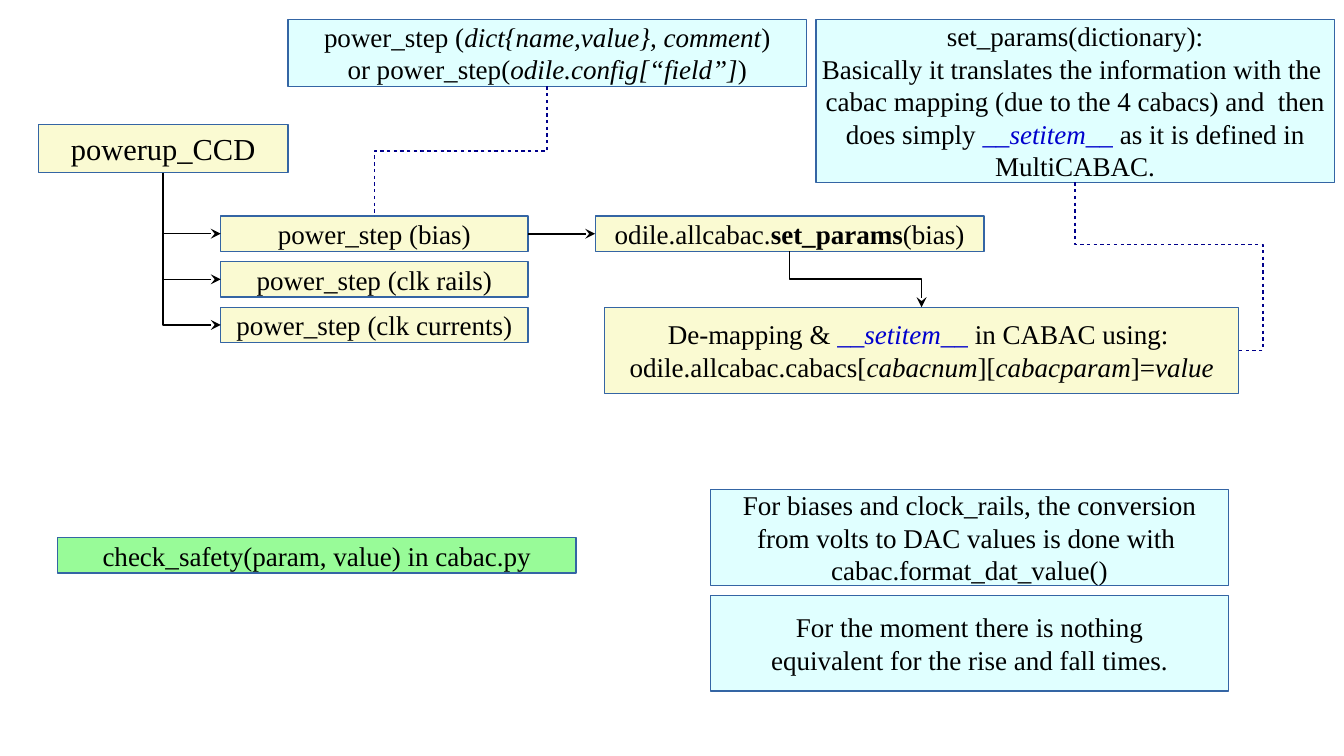
from dataclasses import dataclass
from typing import NamedTuple

from lxml.etree import SubElement as sub
from pptx import Presentation
from pptx.dml.color import RGBColor as Rgb
from pptx.enum.shapes import MSO_CONNECTOR_TYPE as Link, MSO_SHAPE as Form
from pptx.enum.text import MSO_ANCHOR as Anchor, PP_ALIGN as Align
from pptx.oxml.ns import qn
from pptx.util import Cm, Pt

# Grid: 28 columns by 15.75 rows, square cells
COLS, ROWS = 28, 15.75
CELL = Cm(1)
FONT = "Times New Roman"
HUES = {
    "call": "FAFAD2", "note": "E0FFFF", "check": "98FB98", "edge": "3465A4",
    "text": "000000", "item": "0000CD", "flow": "000000", "hint": "00008B",
}
TOP, LEFT, BOTTOM, RIGHT = range(4)


class Bit(NamedTuple):
    text: str
    look: str = ""  # italic, bold or item


class Point(NamedTuple):
    col: float
    row: float


Line = tuple[Bit, ...]


@dataclass
class Box:
    col: float
    row: float
    wide: float
    high: float
    hue: str
    lines: list[Line]
    size: int = 16

    def mid(self, side: int) -> Point:
        x, y = self.col + self.wide / 2, self.row + self.high / 2
        return {
            TOP: Point(x, self.row), LEFT: Point(self.col, y),
            BOTTOM: Point(x, self.row + self.high),
            RIGHT: Point(self.col + self.wide, y),
        }[side]


class Port(NamedTuple):
    name: str
    side: int


@dataclass
class Route:
    start: Port
    end: Port
    form: str = "bentConnector2"
    bends: tuple[float, ...] = ()  # shares of the route's height and width
    hue: str = "flow"
    width: float = 1


def plain(*lines: str) -> list[Line]:
    return [(Bit(line),) for line in lines]


def grid(value: float) -> int:
    return round(value * CELL)


def tint(name: str) -> Rgb:
    return Rgb.from_string(HUES[name])


def write(para, line: Line, size: int) -> None:
    para.text = line[0].text
    for bit in line[1:]:
        para.add_run().text = bit.text
    para.alignment = Align.CENTER
    for run, bit in zip(para.runs, line):
        font = run.font
        font.name, font.size = FONT, Pt(size)
        font.bold = bit.look == "bold"
        font.italic = bit.look in ("italic", "item")
        font.color.rgb = tint("item" if bit.look == "item" else "text")


def draw_box(slide, box: Box):
    shape = slide.shapes.add_shape(
        Form.RECTANGLE, *map(grid, (box.col, box.row, box.wide, box.high)))
    shape.shadow.inherit = False
    shape.fill.solid()
    shape.fill.fore_color.rgb = tint(box.hue)
    shape.line.color.rgb = tint("edge")
    shape.line.width = 0
    frame = shape.text_frame
    frame.word_wrap = False
    frame.vertical_anchor = Anchor.MIDDLE
    for i, line in enumerate(box.lines):
        write(frame.add_paragraph() if i else frame.paragraphs[0], line, box.size)
    return shape


def style(link, route: Route) -> None:
    link.line.color.rgb = tint(route.hue)
    link.line.width = Pt(route.width)
    props = link._element.spPr
    edge = props.find(qn("a:ln"))
    if route.hue == "hint":
        sub(sub(edge, qn("a:custDash")), qn("a:ds"), d="200000", sp="200000")
    else:
        sub(edge, qn("a:tailEnd"), type="stealth")
    sub(props, qn("a:effectLst"))


def draw_straight(slide, route: Route, a: Point, b: Point, shapes: dict):
    link = slide.shapes.add_connector(Link.STRAIGHT, *map(grid, (*a, *b)))
    link.begin_connect(shapes[route.start.name], route.start.side)
    link.end_connect(shapes[route.end.name], route.end.side)
    return link


def draw_bent(slide, route: Route, a: Point, b: Point):
    """Leave downwards: a quarter turn of a frame with swapped sides."""
    x, y = (a.col + b.col) / 2, (a.row + b.row) / 2
    wide, high = b.row - a.row, abs(b.col - a.col)
    right = b.col > a.col
    near, far = x - wide / 2, x + wide / 2
    if right:
        near, far = far, near
    link = slide.shapes.add_connector(
        Link.ELBOW, *map(grid, (near, y - high / 2, far, y + high / 2)))
    props = link._element.spPr
    props.find(qn("a:xfrm")).set("rot", str((270 if right else 90) * 60000))
    shape = props.find(qn("a:prstGeom"))
    shape.set("prst", route.form)
    guides = shape.find(qn("a:avLst"))
    for i, share in enumerate(route.bends, 1):
        sub(guides, qn("a:gd"), name=f"adj{i}", fmla=f"val {round(share * 100000)}")
    return link


def draw_route(slide, route: Route, shapes: dict) -> None:
    a, b = (BOXES[port.name].mid(port.side) for port in (route.start, route.end))
    if a.row == b.row:
        link = draw_straight(slide, route, a, b, shapes)
    else:
        link = draw_bent(slide, route, a, b)
    style(link, route)


# Boxes: calls, then notes
STEPS = ["bias", "clk rails", "clk currents"]
BOXES = {
    "power": Box(0.8, 2.6, 5.2, 1, "call", plain("powerup_CCD"), 18),
    **{step: Box(4.6, 4.5 + 0.95 * i, 6.4, 0.74, "call", plain(f"power_step ({step})"))
       for i, step in enumerate(STEPS)},
    "params": Box(12.4, 4.5, 8.1, 0.74, "call", [
        (Bit("odile.allcabac."), Bit("set_params", "bold"), Bit("(bias)"))]),
    "demap": Box(12.6, 6.4, 13.2, 1.8, "call", [
        (Bit("De-mapping & "), Bit("__setitem__", "item"), Bit(" in CABAC using: ")),
        (Bit("odile.allcabac.cabacs["), Bit("cabacnum", "italic"), Bit("]["),
         Bit("cabacparam", "italic"), Bit("]="), Bit("value", "italic"))]),
    "usage": Box(6, 0.4, 10.8, 1.4, "note", [
        (Bit("power_step ("), Bit("dict{name,value}, comment", "italic"), Bit(")")),
        (Bit("or power_step("), Bit("odile.config[“field”]", "italic"), Bit(")"))]),
    "about": Box(17, 0.4, 10.8, 3.4, "note", [
        *plain("set_params(dictionary):",
               "Basically it translates the information with the ",
               "cabac mapping (due to the 4 cabacs) and  then"),
        (Bit("does simply "), Bit("__setitem__", "item"), Bit(" as it is defined in")),
        *plain("MultiCABAC.")]),
    "safety": Box(1.2, 11.2, 10.8, 0.74, "check",
                  plain("check_safety(param, value) in cabac.py")),
    "volts": Box(14.8, 10.2, 10.8, 2, "note", plain(
        "For biases and clock_rails, the conversion",
        "from volts to DAC values is done with ", "cabac.format_dat_value()")),
    "times": Box(14.8, 12.4, 10.8, 2, "note", plain(
        "For the moment there is nothing", "equivalent for the rise and fall times.")),
}

# Routes: branches, calls, dashed hints
ROUTES = [
    *(Route(Port("power", BOTTOM), Port(step, LEFT), width=0.8) for step in STEPS),
    Route(Port("bias", RIGHT), Port("params", LEFT)),
    Route(Port("params", BOTTOM), Port("demap", TOP), "bentConnector3", (0.5,)),
    Route(Port("about", BOTTOM), Port("demap", RIGHT), "bentConnector4",
          (0.37, 1.15), "hint"),
    Route(Port("usage", BOTTOM), Port("bias", TOP), "bentConnector3", (0.5,), "hint"),
]


def main() -> None:
    deck = Presentation()
    deck.slide_width, deck.slide_height = grid(COLS), grid(ROWS)
    slide = deck.slides.add_slide(deck.slide_layouts[6])
    shapes = {name: draw_box(slide, box) for name, box in BOXES.items()}
    for route in ROUTES:
        draw_route(slide, route, shapes)
    deck.save("out.pptx")


if __name__ == "__main__":
    main()
